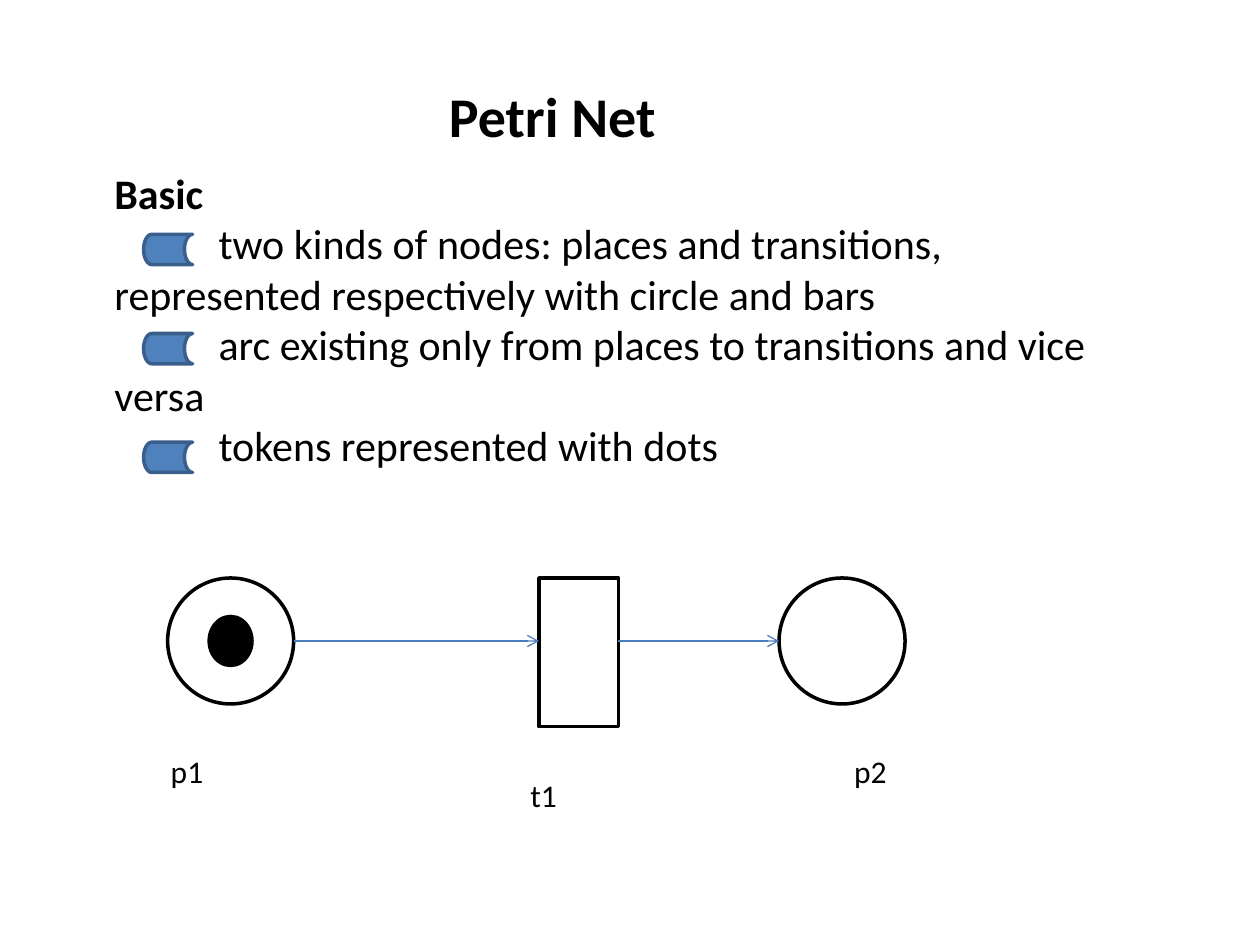
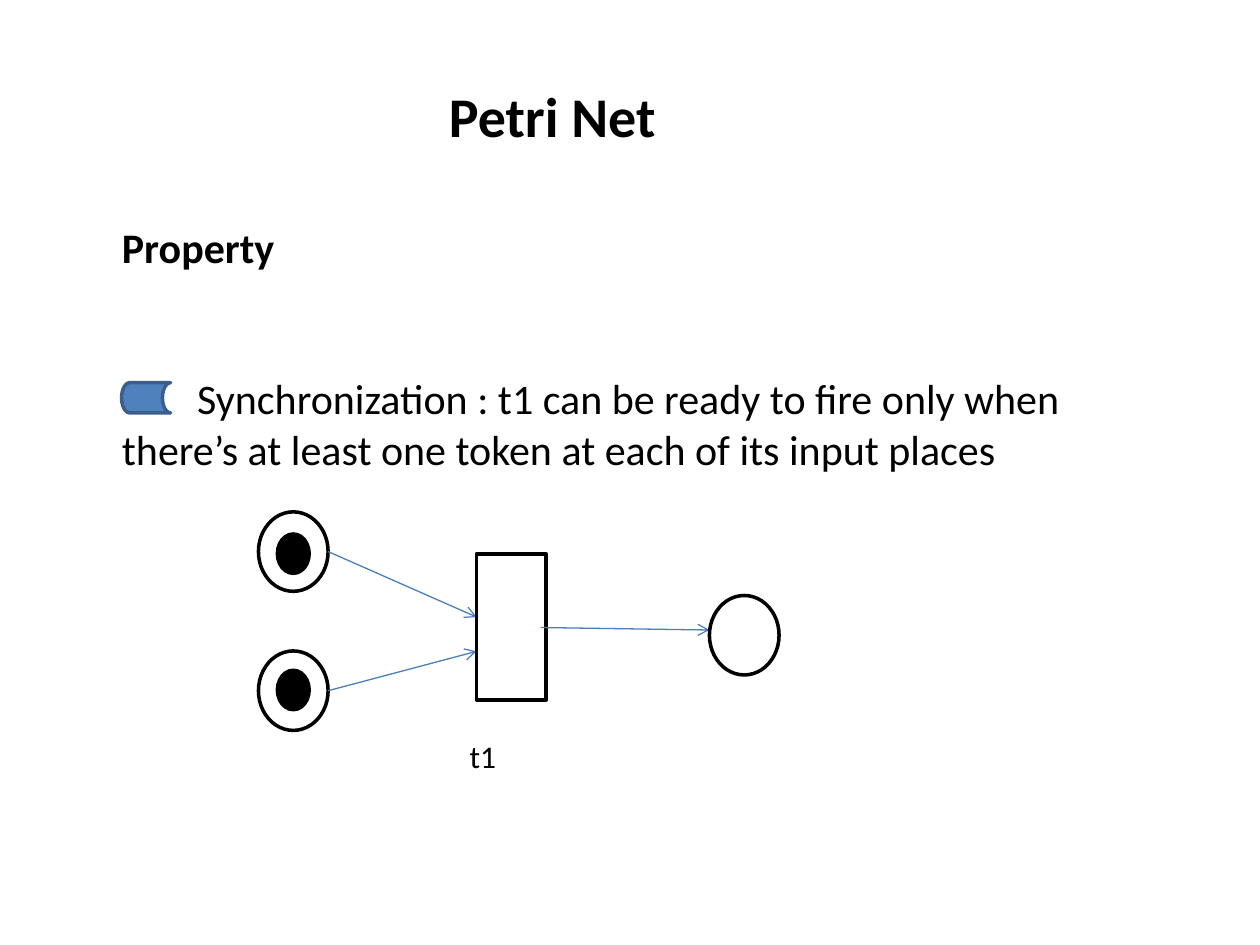
from lxml import etree
from pptx import Presentation
from pptx.dml.color import RGBColor
from pptx.enum.shapes import MSO_CONNECTOR, MSO_SHAPE
from pptx.oxml.ns import qn
from pptx.util import Pt

ELLIPSE = MSO_SHAPE.OVAL
BAR = MSO_SHAPE.RECTANGLE
FLAG = MSO_SHAPE.FLOWCHART_STORED_DATA
STRAIGHT = MSO_CONNECTOR.STRAIGHT

BLACK = RGBColor(0x00, 0x00, 0x00)
WHITE = RGBColor(0xFF, 0xFF, 0xFF)
BLUE = RGBColor(0x4F, 0x81, 0xBD)
DARK_BLUE = RGBColor(0x3A, 0x5F, 0x8C)
ARC_BLUE = RGBColor(0x4B, 0x7E, 0xBC)

FONT = "Calibri"
TITLE_SIZE, BODY_SIZE, LABEL_SIZE = 32, 24, 18
FLAG_WIDTH, FLAG_HEIGHT = 28, 17.3
BODY_WIDTH = 589.7


def add_text(slide, left, top, width, height, lines, size, indent=0, bold=False):
    """Add a text box and return its paragraphs; indent moves first lines only."""
    frame = slide.shapes.add_textbox(Pt(left), Pt(top), Pt(width), Pt(height)).text_frame
    frame.word_wrap = True
    frame.text = "\n".join(lines)
    for paragraph in frame.paragraphs:
        if indent:
            properties = paragraph._p.get_or_add_pPr()
            properties.set("marL", "0")
            properties.set("indent", str(Pt(indent)))
        font = paragraph.font
        font.name = FONT
        font.size = Pt(size)
        font.bold = bold
        font.color.rgb = BLACK
    return frame.paragraphs


def add_title(slide):
    add_text(slide, 105.1, 43.2, 447.8, 46.1, ["Petri Net"], TITLE_SIZE, 144.3, True)


def add_body(slide, left, top, height, heading, points, indent):
    """Add a bold heading with indented points below it."""
    paragraphs = add_text(slide, left, top, BODY_WIDTH, height,
                          [heading, *points], BODY_SIZE, indent)
    paragraphs[0].font.bold = True
    paragraphs[0]._p.get_or_add_pPr().set("indent", "0")
    return paragraphs


def add_label(slide, left, top, text, indent=0):
    add_text(slide, left, top, 68, 28.8, [text], LABEL_SIZE, indent)


def add_outlined(slide, kind, left, top, width, height, fill=WHITE, line=BLACK):
    shape = slide.shapes.add_shape(kind, Pt(left), Pt(top), Pt(width), Pt(height))
    shape.shadow.inherit = False
    shape.fill.solid()
    shape.fill.fore_color.rgb = fill
    shape.line.color.rgb = line
    shape.line.width = Pt(2)


def add_flag(slide, left, top):
    add_outlined(slide, FLAG, left, top, FLAG_WIDTH, FLAG_HEIGHT, BLUE, DARK_BLUE)


def add_token(slide, center_x, center_y, width, height):
    add_outlined(slide, ELLIPSE, center_x - width / 2, center_y - height / 2,
                 width, height, fill=BLACK)


def add_arc(slide, x1, y1, x2, y2):
    arc = slide.shapes.add_connector(STRAIGHT, Pt(x1), Pt(y1), Pt(x2), Pt(y2))
    arc.line.color.rgb = ARC_BLUE
    arc.line.width = Pt(0.75)
    etree.SubElement(arc.line._get_or_add_ln(), qn("a:tailEnd"), type="arrow")
    etree.SubElement(arc._element.spPr, qn("a:effectLst"))


def build_basic(slide):
    add_body(slide, 58.3, 92.2, 211, "Basic", [
        "two kinds of nodes: places and transitions, represented respectively "
        "with circle and bars",
        "arc existing only from places to transitions and vice versa",
        "tokens represented with dots",
    ], indent=59.5)
    for flag_top in (133.9, 190.6, 252.7):
        add_flag(slide, 82.1, flag_top)

    top, place_size = 330.3, 72
    p1_left, t1_left, p2_left = 95.8, 308, 445.2
    t1_width = 45.4
    arc_y = top + place_size / 2
    for place_left in (p1_left, p2_left):
        add_outlined(slide, ELLIPSE, place_left, top, place_size, place_size)
    add_token(slide, p1_left + place_size / 2, arc_y, 24.5, 28)
    add_outlined(slide, BAR, t1_left, top, t1_width, 85)
    add_arc(slide, p1_left + place_size, arc_y, t1_left, arc_y)
    add_arc(slide, t1_left + t1_width, arc_y, p2_left, arc_y)

    add_label(slide, 78.5, 426.2, "p1", indent=12)
    add_label(slide, 296, 440, "t1")
    add_label(slide, 481, 426.2, "p2")
    add_title(slide)


def build_property(slide):
    paragraphs = add_body(slide, 62.6, 123.1, 152.6, "Property", [
        "Synchronization : t1 can be ready to fire only when there’s at least "
        "one token at each of its input places",
    ], indent=43)
    paragraphs[1].space_before = Pt(57.5)
    add_flag(slide, 69.5, 218.7)

    place_width, place_height = 39.8, 45.4
    input_left, t1_left, output_left = 147.7, 272.3, 405.4
    for input_top, token_y, arc_end in ((292.5, 316.4, 352.6), (372, 394.3, 372.2)):
        add_outlined(slide, ELLIPSE, input_left, input_top, place_width, place_height)
        add_token(slide, input_left + place_width / 2, token_y, 18.2, 22.5)
        add_arc(slide, input_left + place_width, input_top + place_height / 2,
                t1_left, arc_end)
    add_outlined(slide, BAR, t1_left, 316.5, place_width, 83.5)
    add_arc(slide, 309, 358.6, output_left, 360)
    add_outlined(slide, ELLIPSE, output_left, 340.3, place_width, place_height)
    add_label(slide, 261.2, 417.6, "t1")
    add_title(slide)


def main():
    deck = Presentation()
    deck.slide_width, deck.slide_height = Pt(720), Pt(540)
    blank = deck.slide_layouts[6]
    for build in (build_basic, build_property):
        build(deck.slides.add_slide(blank))
    deck.save("out.pptx")


if __name__ == "__main__":
    main()
